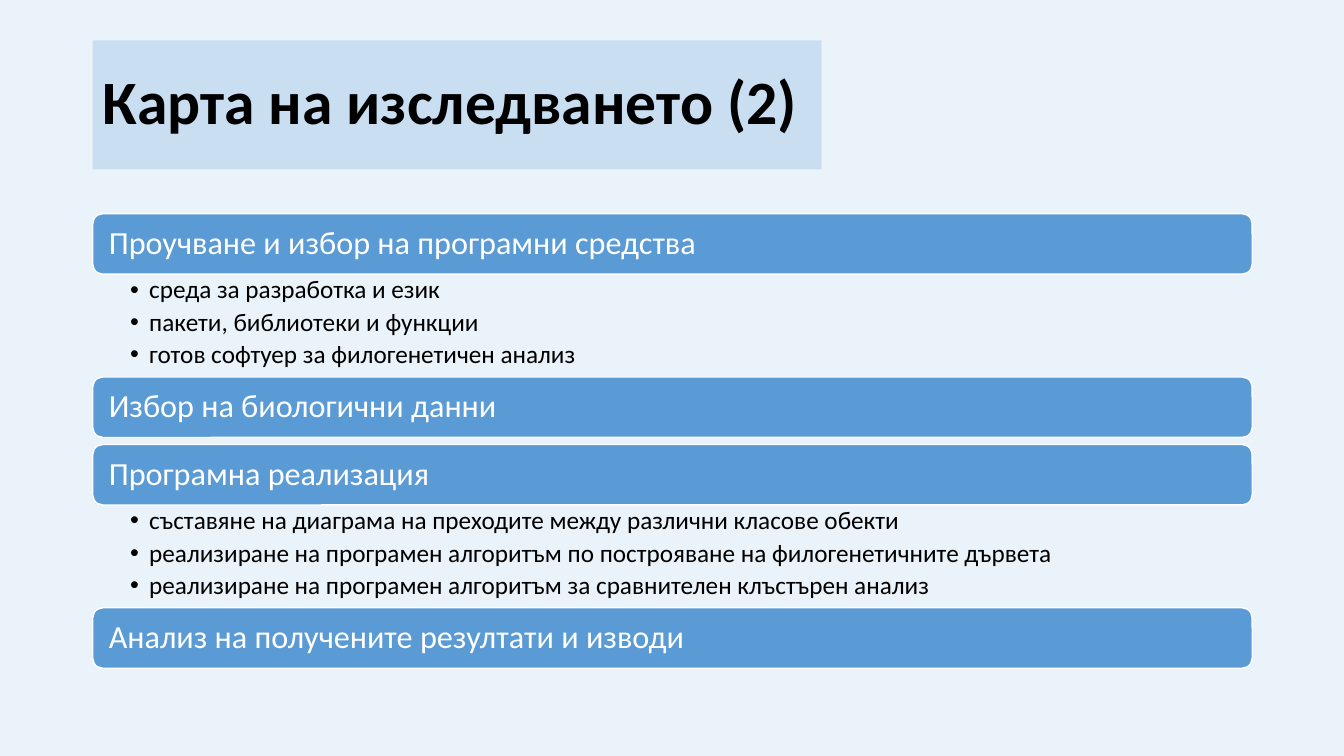
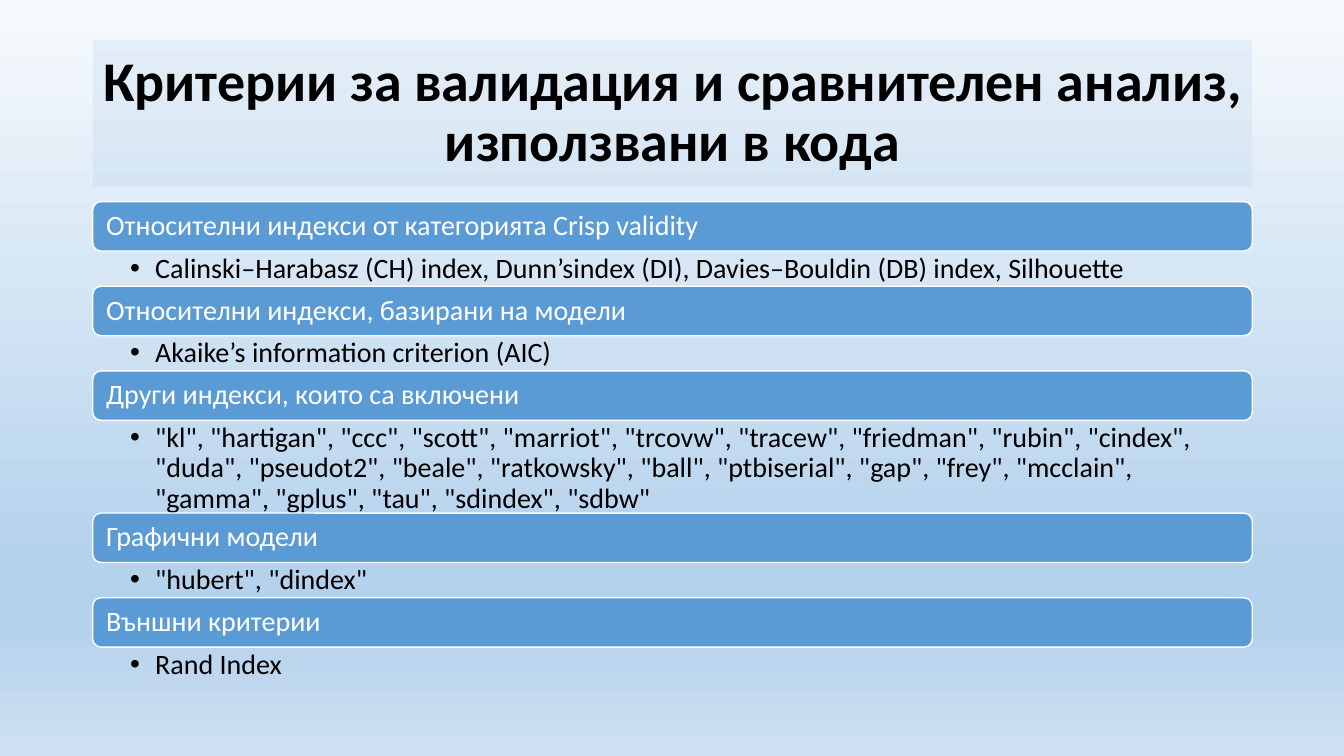
from lxml import etree
from pptx import Presentation
from pptx.dml.color import RGBColor
from pptx.enum.shapes import MSO_SHAPE
from pptx.enum.text import MSO_ANCHOR, PP_ALIGN
from pptx.oxml.ns import qn
from pptx.util import Inches, Pt

RECT, ROUND = MSO_SHAPE.RECTANGLE, MSO_SHAPE.ROUNDED_RECTANGLE
TOP, MIDDLE = MSO_ANCHOR.TOP, MSO_ANCHOR.MIDDLE
LEFT, CENTER = PP_ALIGN.LEFT, PP_ALIGN.CENTER


def rgb(value):
    return RGBColor.from_string(value)


class Deck:
    FONT = "Calibri"
    BLUE, PALE, WHITE, BLACK = "5B9BD5", "EBF3FA", "FFFFFF", "000000"
    X, WIDTH = 0.92, 11.5
    TITLE_Y = 0.4

    def __init__(self):
        self.prs = Presentation()
        self.prs.slide_width = Inches(13.33)
        self.prs.slide_height = Inches(7.5)
        self.slide = None

    def add_slide(self, stops=None):
        """Start a slide on plain pale blue, or on a vertical gradient."""
        self.slide = self.prs.slides.add_slide(self.prs.slide_layouts[6])
        fill = self.slide.background.fill
        if not stops:
            fill.solid()
            fill.fore_color.rgb = rgb(self.PALE)
            return
        fill.gradient()
        fill.gradient_angle = 270
        gs_list = self.slide._element.xpath(".//p:bg//a:gsLst")[0]
        for gs in list(gs_list):
            gs_list.remove(gs)
        for percent, color in stops:
            gs = etree.SubElement(gs_list, qn("a:gs"), pos=str(percent * 1000))
            etree.SubElement(gs, qn("a:srgbClr"), val=color)

    def set_text(self, sp, lines, size, color, insets, anchor=MIDDLE,
                 align=LEFT, bold=False, after=0):
        tf = sp.text_frame
        left, top, right, bottom = map(Inches, insets)
        frame = {"word_wrap": True, "vertical_anchor": anchor,
                 "margin_left": left, "margin_top": top,
                 "margin_right": right, "margin_bottom": bottom}
        for name, value in frame.items():
            setattr(tf, name, value)
        for i, line in enumerate(lines):
            p = tf.paragraphs[0] if i == 0 else tf.add_paragraph()
            p.alignment, p.line_spacing, p.space_after = align, 0.9, Pt(after)
            r = p.add_run()
            r.text = line
            font = {"name": self.FONT, "size": Pt(size), "bold": bold}
            for name, value in font.items():
                setattr(r.font, name, value)
            r.font.color.rgb = rgb(color)
        return tf

    def box(self, kind, y, width, height):
        sp = self.slide.shapes.add_shape(
            kind, Inches(self.X), Inches(y), Inches(width), Inches(height))
        sp.shadow.inherit = False
        sp.fill.solid()
        sp.fill.fore_color.rgb = rgb(self.BLUE)
        return sp

    def title(self, text, width, height, size, opacity, align=LEFT):
        sp = self.box(RECT, self.TITLE_Y, width, height)
        sp.line.fill.background()
        color = sp._element.spPr.find(qn("a:solidFill"))[0]
        etree.SubElement(color, qn("a:alpha"), val=str(opacity * 1000))
        self.set_text(sp, [text], size, self.BLACK, (0.1, 0.05, 0.1, 0.05),
                      align=align, bold=True)

    def bar(self, text, y, height, size, inset):
        sp = self.box(ROUND, y, self.WIDTH, height)
        sp.line.color.rgb = rgb(self.WHITE)
        sp.line.width = Pt(1)
        self.set_text(sp, [text], size, self.WHITE, (inset, 0, inset, 0))

    def bullets(self, lines, y, height, size, indent):
        sp = self.slide.shapes.add_textbox(
            Inches(self.X), Inches(y), Inches(self.WIDTH), Inches(height))
        tf = self.set_text(sp, lines, size, self.BLACK,
                           (0.37, 0.03, 0.17, 0.03),
                           anchor=TOP, after=size * 0.2)
        for p in tf.paragraphs:
            pPr = p._p.get_or_add_pPr()
            pPr.set("marL", str(Inches(indent)))
            pPr.set("indent", str(-Inches(indent)))
            etree.SubElement(pPr, qn("a:buFont"), typeface="Arial")
            etree.SubElement(pPr, qn("a:buChar"), char="•")

    def sections(self, items, y, bar_height, bar_size, inset, size, indent,
                 gap=0.07):
        """Stack bars, each followed by its bullets or by a small gap."""
        for heading, lines, height in items:
            self.bar(heading, y, bar_height, bar_size, inset)
            y += bar_height
            if lines:
                self.bullets(lines, y, height, size, indent)
            y += height if lines else gap


STAGES = [
    ("Проучване и избор на програмни средства",
     ["среда за разработка и език",
      "пакети, библиотеки и функции",
      "готов софтуер за филогенетичен анализ"], 1.02),
    ("Избор на биологични данни", [], 0),
    ("Програмна реализация",
     ["съставяне на диаграма на преходите между различни класове обекти",
      "реализиране на програмен алгоритъм по построяване на "
      "филогенетичните дървета",
      "реализиране на програмен алгоритъм за сравнителен клъстърен анализ"],
     1.02),
    ("Анализ на получените резултати и изводи", [], 0),
]

CRITERIA = [
    ("Относителни индекси от категорията Crisp validity",
     ["Calinski–Harabasz (CH) index, Dunn’sindex (DI), "
      "Davies–Bouldin (DB) index, Silhouette"], 0.35),
    ("Относителни индекси, базирани на модели",
     ["Akaike’s information criterion (AIC)"], 0.35),
    ("Други индекси, които са включени",
     ['"kl", "hartigan", "ccc", "scott", "marriot", "trcovw", "tracew", '
      '"friedman", "rubin", "cindex", "duda", "pseudot2", "beale", '
      '"ratkowsky", "ball", "ptbiserial", "gap", "frey", "mcclain", '
      '"gamma", "gplus", "tau", "sdindex", "sdbw"'], 0.92),
    ("Графични модели", ['"hubert", "dindex"'], 0.35),
    ("Външни критерии", ["Rand Index"], 0.35),
]

SKY = [(0, "F7FAFD"), (74, "B5D2EC"), (83, "B5D2EC"), (100, "CEE1F2")]


def main():
    deck = Deck()

    # Research map
    deck.add_slide()
    deck.title("Карта на изследването (2)", 7.23, 1.28, 44, 23)
    deck.sections(STAGES, y=2.12, bar_height=0.6, bar_size=23, inset=0.13,
                  size=18, indent=0.19)

    # Validation criteria
    deck.add_slide(SKY)
    deck.title("Критерии за валидация и сравнителен анализ, използвани в кода",
               deck.WIDTH, 1.45, 40, 9, CENTER)
    deck.sections(CRITERIA, y=2, bar_height=0.49, bar_size=20, inset=0.11,
                  size=20, indent=0.25)

    deck.prs.save("out.pptx")


if __name__ == "__main__":
    main()
